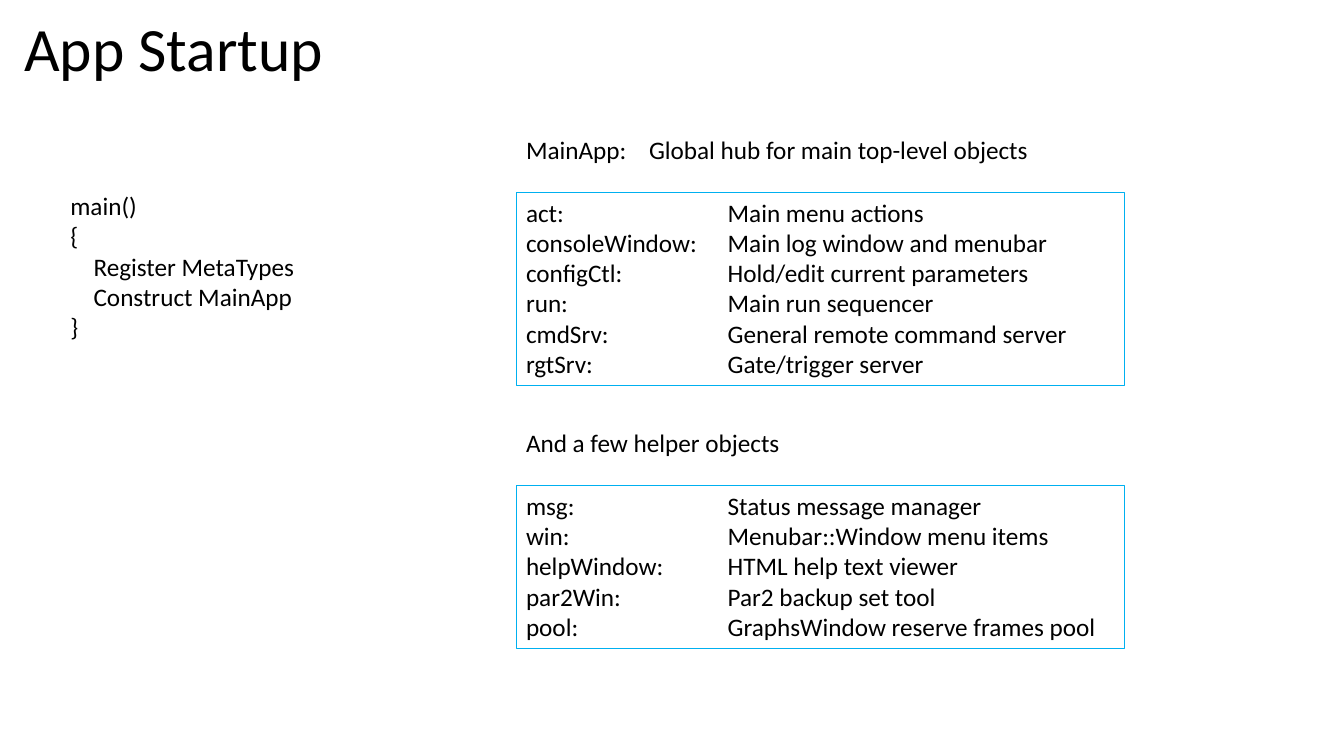
from dataclasses import dataclass
from lxml.etree import SubElement
from pptx import Presentation
from pptx.dml.color import RGBColor
from pptx.enum.shapes import MSO_SHAPE
from pptx.enum.text import MSO_ANCHOR, MSO_AUTO_SIZE, PP_ALIGN
from pptx.oxml.ns import qn
from pptx.util import Inches, Pt


@dataclass(frozen=True)
class Theme:
    """Fonts, sizes and colours of the slide."""
    font: str = "Calibri"
    title_size: float = 44
    body_size: float = 18
    ink: RGBColor = RGBColor(0, 0, 0)
    outline: RGBColor = RGBColor(0x00, 0xB0, 0xF0)
    outline_width: float = 0.75


THEME = Theme()
WIDTH, HEIGHT = 13.33, 7.5
ROW = HEIGHT / 25
PADDING = 0.4
HUB_LEFT = 0.384
HEADING_TO_BOX = 2.08
HEADING_TAB, ENTRY_TAB = 1.22, 2.0
CODE_INDENT = 0.23

CODE = [("main()", 0), ("{", 0), ("Register MetaTypes", 1), ("Construct MainApp", 1), ("}", 0)]
MAIN_OBJECTS = [
    ("act:", "Main menu actions"),
    ("consoleWindow:", "Main log window and menubar"),
    ("configCtl:", "Hold/edit current parameters"),
    ("run:", "Main run sequencer"),
    ("cmdSrv:", "General remote command server"),
    ("rgtSrv:", "Gate/trigger server"),
]
HELPER_OBJECTS = [
    ("msg:", "Status message manager"),
    ("win:", "Menubar::Window menu items"),
    ("helpWindow:", "HTML help text viewer"),
    ("par2Win:", "Par2 backup set tool"),
    ("pool:", "GraphsWindow reserve frames pool"),
]


def place(left, top, width, rows):
    """Turn width shares and grid rows into a slide rectangle."""
    return (Inches(left * WIDTH), Inches(top * ROW),
            Inches(width * WIDTH), Inches(rows * ROW))


def add_span(para, text, size=THEME.body_size):
    """Add one formatted run to a paragraph."""
    span = para.add_run()
    span.text = text
    span.font.name = THEME.font
    span.font.size = Pt(size)
    span.font.color.rgb = THEME.ink


def set_tab(para, position):
    """Give a paragraph one left tab stop, in inches."""
    stops = SubElement(para._p.get_or_add_pPr(), qn("a:tabLst"))
    SubElement(stops, qn("a:tab"), pos=str(Inches(position)), algn="l")


def fill_lines(box, lines, tab=None, indents=None):
    """Write one left-aligned paragraph per line into a box."""
    frame = box.text_frame
    frame.word_wrap = True
    frame.vertical_anchor = MSO_ANCHOR.TOP
    for number, text in enumerate(lines):
        para = frame.paragraphs[0] if number == 0 else frame.add_paragraph()
        para.alignment = PP_ALIGN.LEFT
        if tab:
            set_tab(para, tab)
        if indents and indents[number]:
            para._p.get_or_add_pPr().set("marL", str(Inches(indents[number] * CODE_INDENT)))
        add_span(para, text)


def add_title(page, text):
    """Place and format the title placeholder."""
    title = page.shapes.title
    title.left, title.top, title.width, title.height = place(0.0105, 0.4, 0.863, 2.63)
    frame = title.text_frame
    frame.auto_size = MSO_AUTO_SIZE.NONE
    frame.vertical_anchor = MSO_ANCHOR.MIDDLE
    para = frame.paragraphs[0]
    para.alignment = PP_ALIGN.LEFT
    para.line_spacing = 0.9
    add_span(para, text, THEME.title_size)


def add_code(page, left, top, code):
    """Add a code listing with indented lines."""
    box = page.shapes.add_textbox(*place(left, top, 0.184, len(code) + PADDING))
    fill_lines(box, [text for text, _ in code], indents=[level for _, level in code])


def add_group(page, top, heading, entries):
    """Add a heading with an outlined list of objects below it."""
    label = page.shapes.add_textbox(*place(HUB_LEFT, top, 0.435, 1 + PADDING))
    fill_lines(label, [heading], tab=HEADING_TAB)
    box = page.shapes.add_shape(
        MSO_SHAPE.RECTANGLE,
        *place(HUB_LEFT, top + HEADING_TO_BOX, 0.453, len(entries) + PADDING))
    box.shadow.inherit = False
    box.fill.background()
    box.line.color.rgb = THEME.outline
    box.line.width = Pt(THEME.outline_width)
    fill_lines(box, ["\t".join(entry) for entry in entries], tab=ENTRY_TAB)


def main():
    """Build and save the deck."""
    deck = Presentation()
    deck.slide_width, deck.slide_height = Inches(WIDTH), Inches(HEIGHT)
    page = deck.slides.add_slide(deck.slide_layouts[5])
    add_title(page, "App Startup")
    add_code(page, 0.045, 6.13, CODE)
    add_group(page, 4.27, "MainApp:\tGlobal hub for main top-level objects", MAIN_OBJECTS)
    add_group(page, 13.97, "And a few helper objects", HELPER_OBJECTS)
    deck.save("out.pptx")


main()
